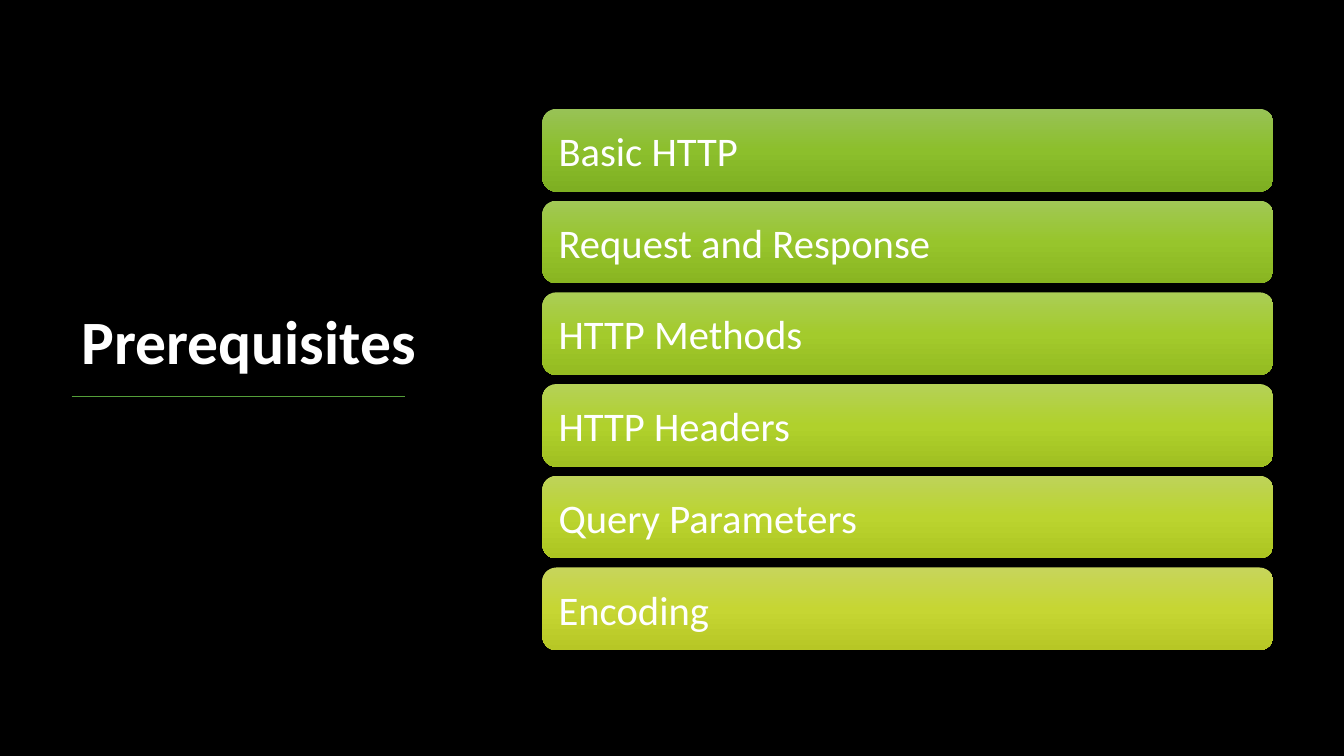
"""Build the Prerequisites slide: a title with a rule beside six topic bars."""
from copy import deepcopy
from pptx import Presentation
from pptx.dml.color import RGBColor
from pptx.enum.shapes import MSO_CONNECTOR, MSO_SHAPE
from pptx.enum.text import MSO_ANCHOR, PP_ALIGN
from pptx.oxml.ns import qn
from pptx.oxml.xmlchemy import OxmlElement
from pptx.util import Inches, Pt

COLORS = {"background": "000000", "text": "FFFFFF", "rule": "549E39"}
TOPICS = {
    "Basic HTTP": ("98C256", "8CBF2C", "7EAF22"),
    "Request and Response": ("A1C856", "97C52C", "89B521"),
    "HTTP Methods": ("ABCD56", "A3CB2C", "94BB21"),
    "HTTP Headers": ("B5D157", "B0D12C", "A0C021"),
    "Query Parameters": ("BED359", "BBD42F", "ACC521"),
    "Encoding": ("C7D55B", "C6D633", "B7C725"),
}
LEFT, BAR_LEFT, BAR_TOP = 0.71, 5.38, 1.08
BAR_W, BAR_H, BAR_GAP = 7.25, 0.82, 0.09


def write(sp, text, size, bold=False):
    tf = sp.text_frame
    tf.word_wrap = True
    tf.vertical_anchor = MSO_ANCHOR.MIDDLE
    p = tf.paragraphs[0]
    p.text = text
    p.alignment = PP_ALIGN.LEFT
    p.font.name, p.font.size, p.font.bold = "Calibri", Pt(size), bold
    p.font.color.rgb = RGBColor.from_string(COLORS["text"])
    return tf


prs = Presentation()
prs.slide_width, prs.slide_height = Inches(13.33), Inches(7.5)
s = prs.slides.add_slide(prs.slide_layouts[6])
s.background.fill.solid()
s.background.fill.fore_color.rgb = RGBColor.from_string(COLORS["background"])

title = s.shapes.add_textbox(Inches(LEFT), Inches(1.51), Inches(3.88), Inches(4.48))
tf = write(title, "Prerequisites", 44, True)
tf.margin_bottom = Inches(0.72)
tf.paragraphs[0].line_spacing = 0.9

for row, (topic, shades) in enumerate(TOPICS.items()):
    top = BAR_TOP + row * (BAR_H + BAR_GAP)
    bar = s.shapes.add_shape(MSO_SHAPE.ROUNDED_RECTANGLE, Inches(BAR_LEFT),
                             Inches(top), Inches(BAR_W), Inches(BAR_H))
    bar.shadow.inherit = False
    bar.line.fill.background()
    bar.fill.gradient()
    bar.fill.gradient_angle = 270
    stops = bar._element.spPr.find(qn("a:gradFill")).find(qn("a:gsLst"))
    stops.append(deepcopy(stops[0]))
    for i, (stop, shade) in enumerate(zip(bar.fill.gradient_stops, shades)):
        stop.position = i / 2
        stop.color.rgb = RGBColor.from_string(shade)
    tf = write(bar, topic, 29)
    tf.margin_left = tf.margin_right = Inches(0.12)

rule = s.shapes.add_connector(MSO_CONNECTOR.STRAIGHT, Inches(LEFT), Inches(3.93),
                              Inches(4.02), Inches(3.93))
rule.line.color.rgb = RGBColor.from_string(COLORS["rule"])
rule.line.width = Pt(0.5)
rule._element.spPr.append(OxmlElement("a:effectLst"))

prs.save("out.pptx")
